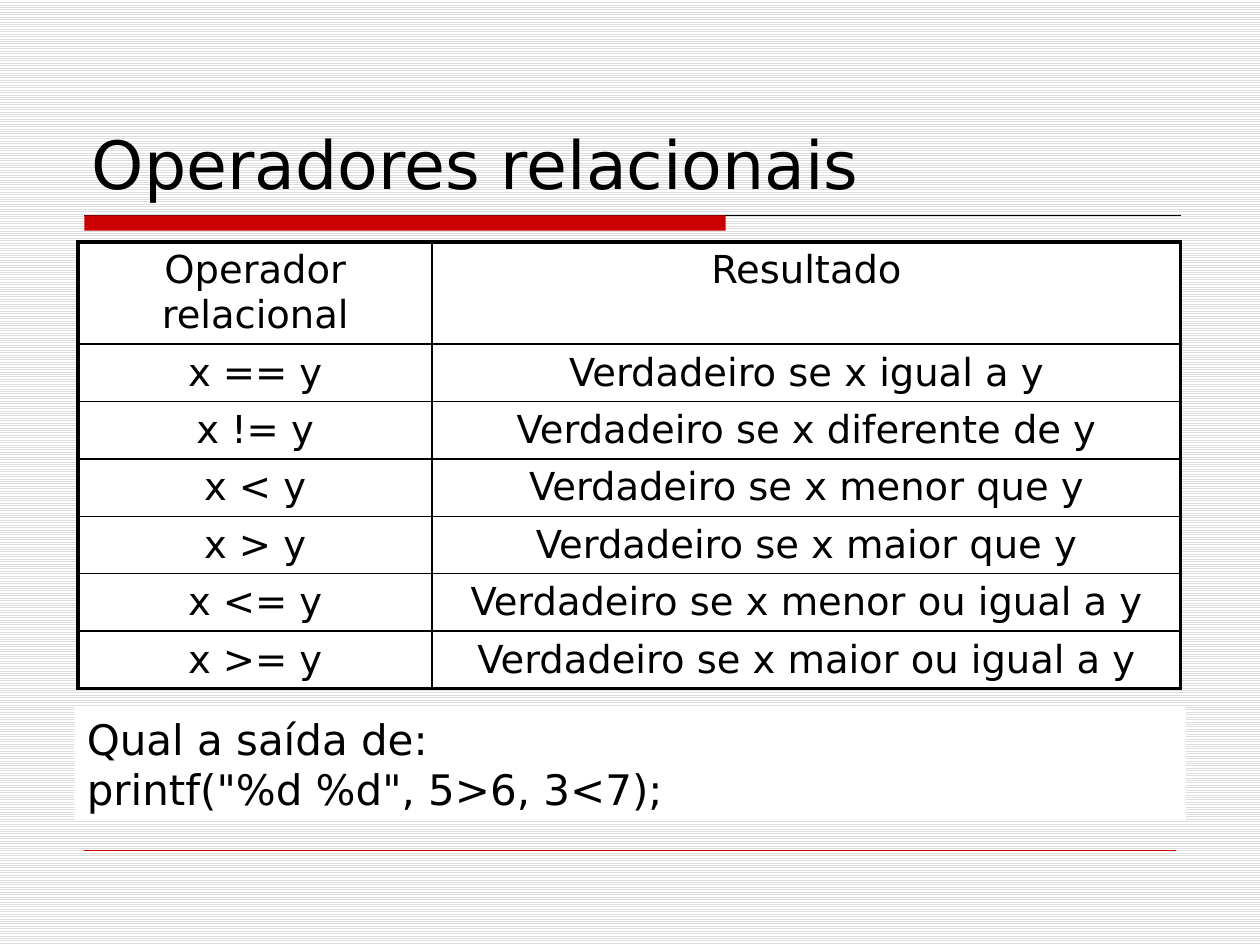
from lxml.etree import SubElement
from pptx import Presentation
from pptx.dml.color import RGBColor
from pptx.enum.dml import MSO_PATTERN
from pptx.enum.shapes import MSO_CONNECTOR, MSO_SHAPE
from pptx.enum.text import MSO_ANCHOR, PP_ALIGN
from pptx.oxml.ns import qn
from pptx.util import Inches, Pt

BLACK, WHITE, RED, GRAY = "000000", "FFFFFF", "CC0000", "DDDDDD"
OPERATORS = [
    ("Operador relacional", "Resultado"),
    ("x == y", "Verdadeiro se x igual a y"),
    ("x != y", "Verdadeiro se x diferente de y"),
    ("x < y", "Verdadeiro se x menor que y"),
    ("x > y", "Verdadeiro se x maior que y"),
    ("x <= y", "Verdadeiro se x menor ou igual a y"),
    ("x >= y", "Verdadeiro se x maior ou igual a y"),
]


def rgb(color):
    """Turn a hex string into a colour."""
    return RGBColor.from_string(color)


class Deck:
    """Style and current slide."""

    font = "DejaVu Sans"

    def __init__(self, prs):
        """Add a title-only slide with a lined background."""
        self.s = prs.slides.add_slide(prs.slide_layouts[5])
        fill = self.s.background.fill
        fill.patterned()
        fill.pattern = MSO_PATTERN.LIGHT_HORIZONTAL
        fill.fore_color.rgb = rgb(GRAY)
        fill.back_color.rgb = rgb(WHITE)

    def set_text(self, tf, text, size, align=PP_ALIGN.LEFT):
        """Set the text of a frame and format its runs."""
        tf.text = text
        tf.word_wrap = True
        for p in tf.paragraphs:
            p.alignment = align
            for r in p.runs:
                r.font.name = self.font
                r.font.size = Pt(size)
                r.font.color.rgb = rgb(BLACK)

    def title(self, text, x, y, w, h, size):
        """Place and fill the title placeholder."""
        sp = self.s.shapes.title
        sp.left, sp.top, sp.width, sp.height = map(Inches, (x, y, w, h))
        self.set_text(sp.text_frame, text, size)
        sp.text_frame.vertical_anchor = MSO_ANCHOR.BOTTOM

    def rect(self, x, y, w, h, color):
        """Add a plain filled rectangle."""
        sp = self.s.shapes.add_shape(MSO_SHAPE.RECTANGLE, *map(Inches, (x, y, w, h)))
        sp.shadow.inherit = False
        sp.fill.solid()
        sp.fill.fore_color.rgb = rgb(color)
        sp.line.fill.background()
        return sp

    def text_box(self, text, x, y, w, h, color, size):
        """Add a filled rectangle with left-aligned text."""
        tf = self.rect(x, y, w, h, color).text_frame
        self.set_text(tf, text, size)
        tf.vertical_anchor = MSO_ANCHOR.TOP

    def rule(self, x1, x2, y, color, width):
        """Add a horizontal line."""
        sp = self.s.shapes.add_connector(
            MSO_CONNECTOR.STRAIGHT, *map(Inches, (x1, y, x2, y)))
        sp.line.color.rgb = rgb(color)
        sp.line.width = Pt(width)
        SubElement(sp._element.spPr, qn("a:effectLst"))

    def border(self, cell, widths):
        """Draw the left, right, top and bottom borders of a cell."""
        props = cell._tc.get_or_add_tcPr()
        for i, (side, width) in enumerate(zip("LRTB", widths)):
            ln = props.makeelement(qn(f"a:ln{side}"), {"w": str(Pt(width))})
            fill = SubElement(ln, qn("a:solidFill"))
            SubElement(fill, qn("a:srgbClr"), val=BLACK)
            props.insert(i, ln)

    def table(self, rows, x, y, col_widths, row_heights, size, outer, inner):
        """Add a table with a thick frame and thin inner lines."""
        n, m = len(rows), len(col_widths)
        table = self.s.shapes.add_table(
            n, m, Inches(x), Inches(y),
            Inches(sum(col_widths)), Inches(sum(row_heights))).table
        for col, width in zip(table.columns, col_widths):
            col.width = Inches(width)
        for row, height in zip(table.rows, row_heights):
            row.height = Inches(height)
        for i, texts in enumerate(rows):
            for j, text in enumerate(texts):
                cell = table.cell(i, j)
                cell.fill.solid()
                cell.fill.fore_color.rgb = rgb(WHITE)
                self.set_text(cell.text_frame, text, size, PP_ALIGN.CENTER)
                edges = (j == 0, j == m - 1, i == 0, i == n - 1)
                self.border(cell, [outer if edge else inner for edge in edges])


def main():
    """Build and save the slide."""
    prs = Presentation()
    prs.slide_width, prs.slide_height = Inches(10), Inches(7.5)
    deck = Deck(prs)
    deck.rule(0.67, 9.37, 1.71, BLACK, 0.75)
    deck.rect(0.67, 1.71, 5.09, 0.12, RED)
    deck.rule(0.67, 9.33, 6.75, RED, 0.25)
    deck.title("Operadores relacionais", 0.63, 0.33, 8.75, 1.33, 38)
    heights = [0.81] + [0.45] * (len(OPERATORS) - 1)
    deck.table(OPERATORS, 0.62, 1.92, [2.81, 5.94], heights, 22, 2.25, 1)
    deck.text_box('Qual a saída de:\nprintf("%d %d", 5>6, 3<7);',
                  0.59, 5.61, 8.82, 0.9, WHITE, 24)
    prs.save("out.pptx")


main()
